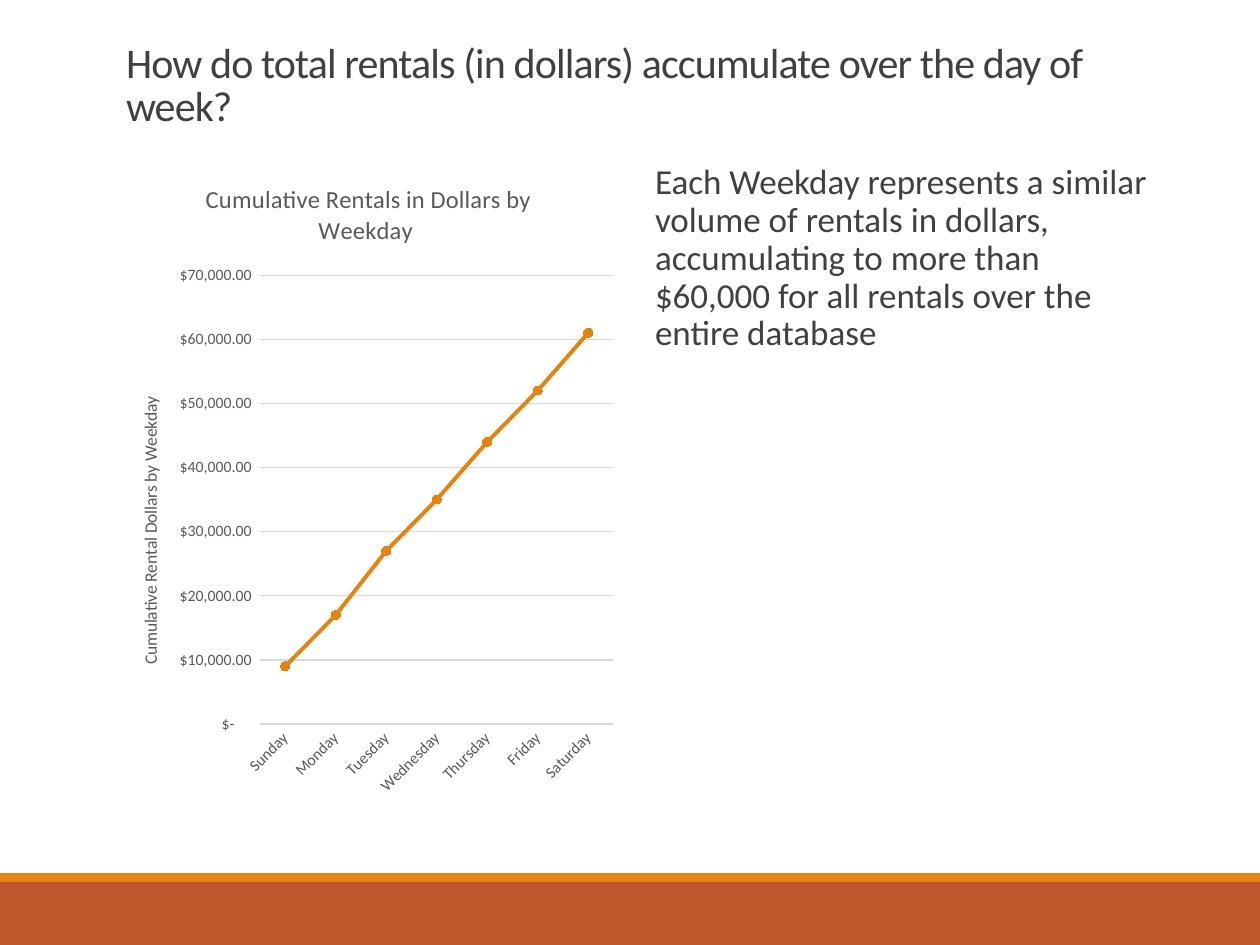
from pptx import Presentation
from pptx.chart.data import CategoryChartData
from pptx.dml.color import RGBColor
from pptx.enum import chart as ch, shapes, text
from pptx.oxml.ns import qn
from pptx.util import Pt

RUST = RGBColor(0xBD, 0x58, 0x2C)
ORANGE = RGBColor(0xE4, 0x83, 0x12)
DARK = RGBColor(0x40, 0x40, 0x40)
GREY = RGBColor(0x59, 0x59, 0x59)
PALE = RGBColor(0xD9, 0xD9, 0xD9)
FONT = "Calibri"

LEFT, TOP, WIDE, HIGH = 64.8, 90.4, 291.6, 371.5
RIGHT = 367.2
DAYS = ["Sunday", "Monday", "Tuesday", "Wednesday",
        "Thursday", "Friday", "Saturday"]
TOTALS = [9000, 17000, 27000, 35000, 44000, 52000, 61000]
MONEY = '_("$"* #,##0.00_);_("$"* \\(#,##0.00\\);_("$"* "-"??_);_(@_)'


def style(font, size, color):
    font.name, font.size, font.bold = FONT, Pt(size), False
    font.color.rgb = color


def add_run(para, words, size, color):
    run = para.add_run()
    run.text = words
    style(run.font, size, color)
    return run


def add_band(slide, top, high, color):
    band = slide.shapes.add_shape(
        shapes.MSO_SHAPE.RECTANGLE, 0, Pt(top), Pt(720), Pt(high))
    band.shadow.inherit = False
    band.fill.solid()
    band.fill.fore_color.rgb = color
    band.line.fill.background()


def set_title(slide, words):
    title = slide.shapes.title
    title.left, title.top = Pt(LEFT), Pt(22.3)
    title.width, title.height = Pt(594), Pt(55.4)
    frame = title.text_frame
    frame.word_wrap = True
    frame.auto_size = text.MSO_AUTO_SIZE.NONE
    frame.vertical_anchor = text.MSO_ANCHOR.BOTTOM
    para = frame.paragraphs[0]
    para.alignment = text.PP_ALIGN.LEFT
    para.line_spacing = 0.85
    run = add_run(para, words, 24, DARK)
    run.font._element.set("spc", "-50")


def add_note(slide, words):
    box = slide.shapes.add_textbox(Pt(RIGHT), Pt(TOP), Pt(WIDE), Pt(HIGH))
    frame = box.text_frame
    frame.word_wrap = True
    frame.margin_left, frame.margin_right = Pt(7.2), 0
    para = frame.paragraphs[0]
    para.line_spacing = 0.9
    para.space_after = Pt(2)
    add_run(para, words, 20, DARK)


def name_part(part, words, size):
    add_run(part.text_frame.paragraphs[0], words, size, GREY)


def set_line(line, color, width):
    line.color.rgb = color
    line.width = Pt(width)


def turn(body, angle):
    body.set("rot", str(angle * 60000))
    body.set("vert", "horz")


def style_axes(chart):
    days, money = chart.category_axis, chart.value_axis
    for axis in (days, money):
        axis.major_tick_mark = ch.XL_TICK_MARK.NONE
        axis.minor_tick_mark = ch.XL_TICK_MARK.NONE
        style(axis.tick_labels.font, 9, GREY)
    set_line(days.format.line, PALE, 0.75)
    # Slanted day names
    turn(days._element.find(qn("c:txPr")).find(qn("a:bodyPr")), -45)

    money.minimum_scale, money.maximum_scale = 0, 70000
    money.major_unit = 10000
    money.tick_labels.number_format = MONEY
    money.tick_labels.number_format_is_linked = False
    money.format.line.fill.background()
    set_line(money.major_gridlines.format.line, PALE, 0.75)
    name_part(money.axis_title, "Cumulative Rental Dollars by Weekday", 10)
    turn(money.axis_title.text_frame._txBody.find(qn("a:bodyPr")), -90)


def add_graph(slide):
    data = CategoryChartData(number_format=MONEY)
    data.categories = DAYS
    data.add_series("Series 1", TOTALS)
    chart = slide.shapes.add_chart(
        ch.XL_CHART_TYPE.LINE_MARKERS, Pt(LEFT), Pt(TOP), Pt(WIDE),
        Pt(HIGH), data).chart
    style(chart.font, 10, GREY)
    chart.has_legend = False
    chart.has_title = True
    name_part(chart.chart_title,
              "Cumulative Rentals in Dollars by Weekday ", 14)
    chart.chart_title.include_in_layout = False
    style_axes(chart)

    plot = chart.plots[0]
    plot.vary_by_categories = False
    line = plot.series[0]
    line.smooth = False
    set_line(line.format.line, ORANGE, 2.25)
    line.marker.style = ch.XL_MARKER_STYLE.CIRCLE
    line.marker.size = 5
    line.marker.format.fill.solid()
    line.marker.format.fill.fore_color.rgb = ORANGE
    set_line(line.marker.format.line, ORANGE, 0.75)


def main():
    deck = Presentation()
    deck.slide_width, deck.slide_height = Pt(720), Pt(540)
    slide = deck.slides.add_slide(deck.slide_layouts[5])

    # Footer bands
    add_band(slide, 504, 36, RUST)
    add_band(slide, 499, 5, ORANGE)

    # Title, message and chart
    set_title(slide, "How do total rentals (in dollars) accumulate "
                     "over the day of week?")
    add_note(slide, "Each Weekday represents a similar volume of rentals "
                    "in dollars, accumulating to more than $60,000 for all "
                    "rentals over the entire database")
    add_graph(slide)
    deck.save("out.pptx")


main()
